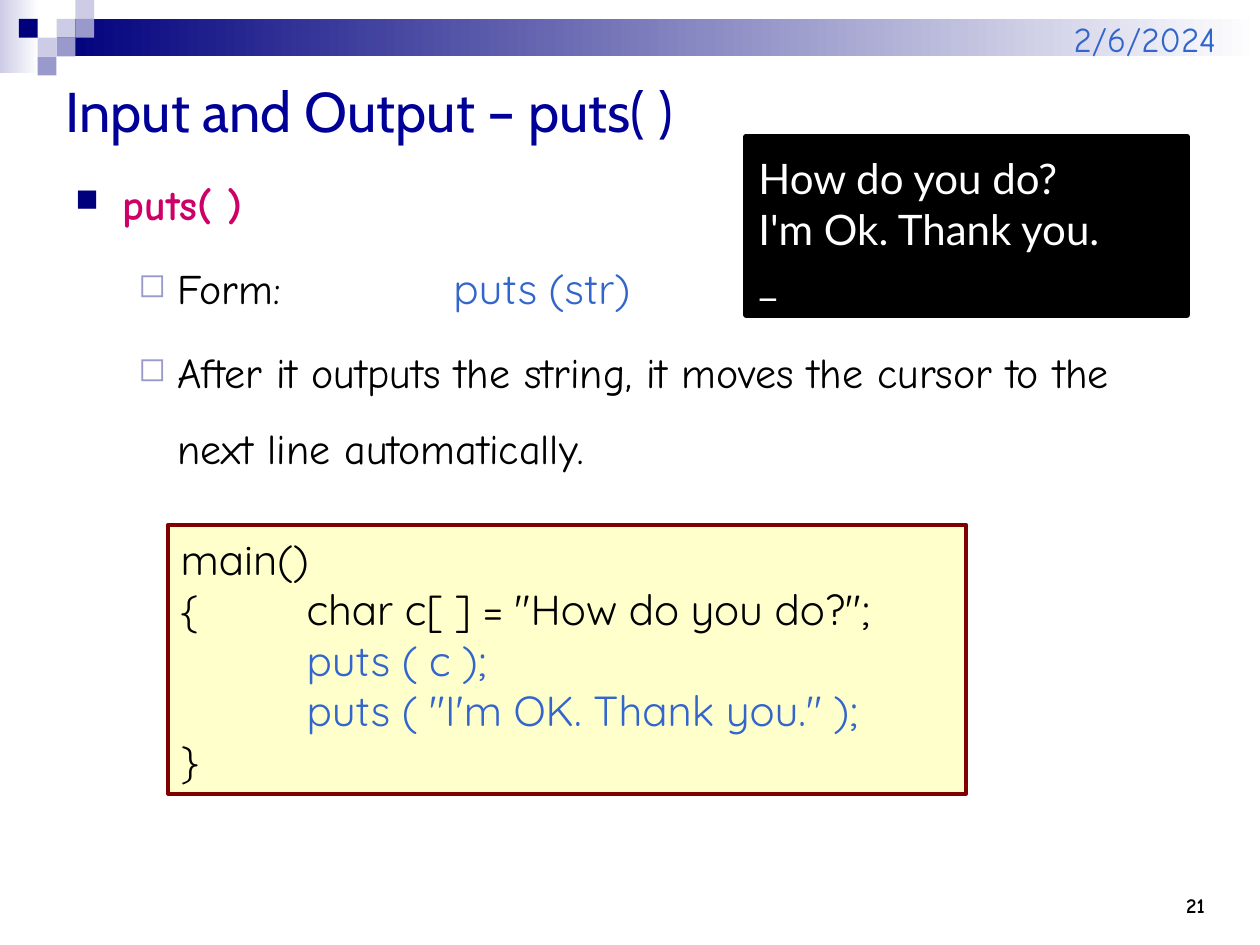
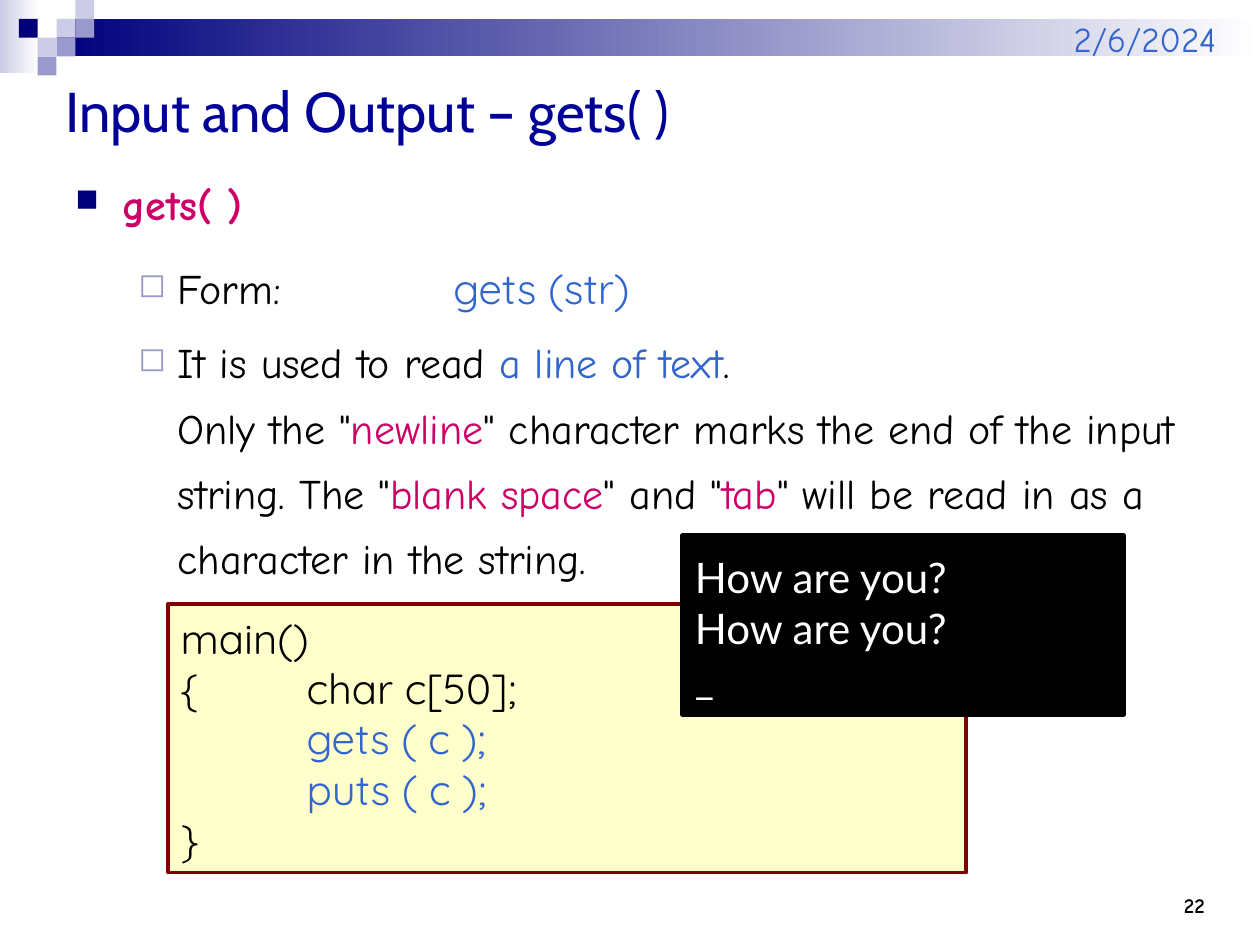
from dataclasses import dataclass

from lxml import etree
from pptx import Presentation
from pptx import util as u
from pptx.dml.color import RGBColor
from pptx.enum import shapes, text
from pptx.oxml import ns


@dataclass(frozen=True)
class Theme:
    navy: str = "00007D"
    title_blue: str = "000099"
    blue: str = "3366CC"
    lilac: str = "9999CC"
    pale: str = "CCCCE6"
    pink: str = "CC0066"
    black: str = "000000"
    white: str = "FFFFFF"
    cream: str = "FFFFCC"
    maroon: str = "800000"
    title_font: str = "Cabin"
    body_font: str = "Comic Neue"
    code_font: str = "Quicksand"
    console_font: str = "Lato"
    title_size: int = 32
    body_size: int = 24
    date_size: int = 20
    number_size: int = 12


theme = Theme()


def add_box(slide, place, fill=None, line=None, line_width=0, fade=None):
    left, top, width, height = [u.Cm(value) for value in place]
    shape = slide.shapes.add_shape(shapes.MSO_SHAPE.RECTANGLE, left, top, width, height)
    shape.shadow.inherit = False
    if fade:
        shape.fill.gradient()
        shape.fill.gradient_angle = 0
        for stop, color in zip(shape.fill.gradient_stops, fade):
            stop.color.rgb = RGBColor.from_string(color)
    elif fill:
        shape.fill.solid()
        shape.fill.fore_color.rgb = RGBColor.from_string(fill)
    else:
        shape.fill.background()
    if line:
        shape.line.color.rgb = RGBColor.from_string(line)
        shape.line.width = u.Pt(line_width)
    else:
        shape.line.fill.background()
    shape.text_frame.word_wrap = True
    return shape


def write(frame, lines, font, size, anchor, align=text.PP_ALIGN.LEFT, bold_first=False):
    frame.vertical_anchor = anchor
    for index, line in enumerate(lines):
        paragraph = frame.paragraphs[0] if index == 0 else frame.add_paragraph()
        paragraph.alignment = align
        paragraph._p.get_or_add_pPr().set("defTabSz", str(u.Cm(2.54)))
        for words, color, *other_font in line:
            if words == "\n":
                paragraph.add_line_break()
                continue
            run = paragraph.add_run()
            run.text = words
            run.font.name = other_font[0] if other_font else font
            run.font.size = u.Pt(size)
            run.font.bold = bold_first and index == 0
            run.font.color.rgb = RGBColor.from_string(color)


squares = [
    (3, 1, theme.pale), (4, 0, theme.pale), (4, 1, theme.lilac), (2, 2, theme.pale),
    (1, 1, theme.navy), (3, 2, theme.lilac), (2, 3, theme.lilac),
]
square_side = 0.38

bullets = [("■", theme.navy, 75, 0.95, 0.95), ("◻", theme.lilac, 80, 2.06, 0.79)]

lessons = [
    {
        "number": "21",
        "function": "puts",
        "spacing": 1.5,
        "explanation": [
            ("After it outputs the string, it moves the cursor to the next line automatically.",
             theme.black),
        ],
        "code_top": 10.58,
        "code": ["char c[ ] = \"How do you do?\";", "puts ( c );",
                 "puts ( \"I'm OK. Thank you.\" );"],
        "console_at": (15.04, 2.75),
        "console": ["How do you do?", "I'm Ok. Thank you.", "_"],
    },
    {
        "number": "22",
        "function": "gets",
        "spacing": 1.3,
        "explanation": [
            ("It is used to read ", theme.black), ("a line of text", theme.blue),
            (".", theme.black), ("\n", theme.black), ("Only the \"", theme.black),
            ("newline", theme.pink),
            ("\" character marks the end of the input string. The \"", theme.black),
            ("blank space", theme.pink), ("\" and \"", theme.black), ("tab", theme.pink),
            ("\" will be read in as a character in the string.", theme.black),
        ],
        "code_top": 12.17,
        "code": ["char c[50];", "gets ( c );", "puts ( c );"],
        "console_at": (13.76, 10.8),
        "console": ["How are you?", "How are you?", "_"],
    },
]

presentation = Presentation()
presentation.slide_width = u.Cm(25.4)
presentation.slide_height = u.Cm(19.05)

for lesson in lessons:
    slide = presentation.slides.add_slide(presentation.slide_layouts[5])
    function = lesson["function"]

    add_box(slide, (0, 0, 0.79, 1.48), fade=(theme.pale, theme.white))
    add_box(slide, (1.14, 0.38, 24.26, 0.76), fade=(theme.navy, theme.white))
    for column, row, color in squares:
        add_box(slide, (column * square_side, row * square_side, square_side, square_side), color)

    number = add_box(slide, (22.43, 17.35, 2.11, 1.27))
    write(number.text_frame, [[(lesson["number"], theme.black)]], theme.body_font,
          theme.number_size, text.MSO_ANCHOR.BOTTOM, text.PP_ALIGN.RIGHT, bold_first=True)
    date = add_box(slide, (18.85, 0, 5.92, 1.32))
    write(date.text_frame, [[("2/6/2024", theme.blue)]], theme.body_font,
          theme.date_size, text.MSO_ANCHOR.BOTTOM, text.PP_ALIGN.RIGHT)

    title = slide.shapes.title
    title.left, title.top, title.width, title.height = [
        u.Cm(value) for value in (1.07, 1.27, 22.86, 1.9)]
    title.text_frame.auto_size = text.MSO_AUTO_SIZE.NONE
    write(title.text_frame, [[(f"Input and Output – {function}( )", theme.title_blue)]],
          theme.title_font, theme.title_size, text.MSO_ANCHOR.MIDDLE)

    body = add_box(slide, (1.27, 2.97, 22.86, 14.81))
    body_lines = [
        [(f"{function}( )", theme.pink)],
        [("Form:\t\t", theme.black), (f"{function} (str)", theme.blue, theme.code_font)],
        lesson["explanation"],
    ]
    write(body.text_frame, body_lines, theme.body_font, theme.body_size,
          text.MSO_ANCHOR.TOP, bold_first=True)
    for index, paragraph in enumerate(body.text_frame.paragraphs):
        level = min(index, 1)
        symbol, color, percent, margin, hanging = bullets[level]
        paragraph.level = level
        paragraph.space_before = u.Pt(4.8)
        paragraph.line_spacing = lesson["spacing"] if index == 2 else 1.5
        properties = paragraph._p.get_or_add_pPr()
        properties.set("marL", str(u.Cm(margin)))
        properties.set("indent", str(-u.Cm(hanging)))
        bullet_color = etree.SubElement(properties, ns.qn("a:buClr"))
        etree.SubElement(bullet_color, ns.qn("a:srgbClr")).set("val", color)
        etree.SubElement(properties, ns.qn("a:buSzPct")).set("val", str(percent * 1000))
        etree.SubElement(properties, ns.qn("a:buChar")).set("char", symbol)

    code = add_box(slide, (3.39, lesson["code_top"], 16.09, 5.42),
                   theme.cream, theme.maroon, 2.25)
    declaration, *calls = lesson["code"]
    code_lines = [[("main()", theme.black)], [("{\t" + declaration, theme.black)]]
    code_lines += [[("\t" + call, theme.blue)] for call in calls]
    code_lines.append([("}", theme.black)])
    write(code.text_frame, code_lines, theme.code_font, theme.body_size, text.MSO_ANCHOR.MIDDLE)
    code.text_frame.auto_size = text.MSO_AUTO_SIZE.SHAPE_TO_FIT_TEXT

    console = add_box(slide, (*lesson["console_at"], 8.89, 3.6), theme.black, theme.black, 3)
    write(console.text_frame, [[(line, theme.white)] for line in lesson["console"]],
          theme.console_font, theme.body_size, text.MSO_ANCHOR.TOP)
    console.text_frame.paragraphs[0].line_spacing = 1.2

presentation.save("out.pptx")
